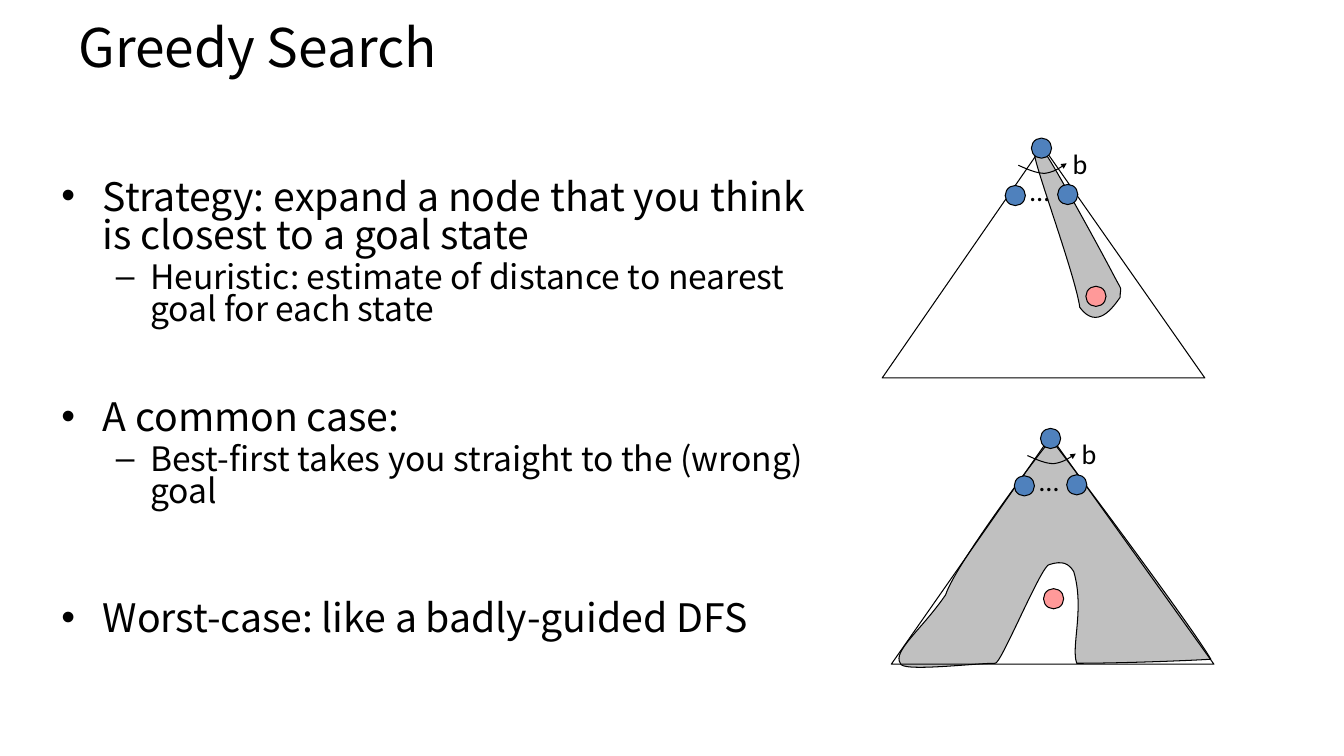
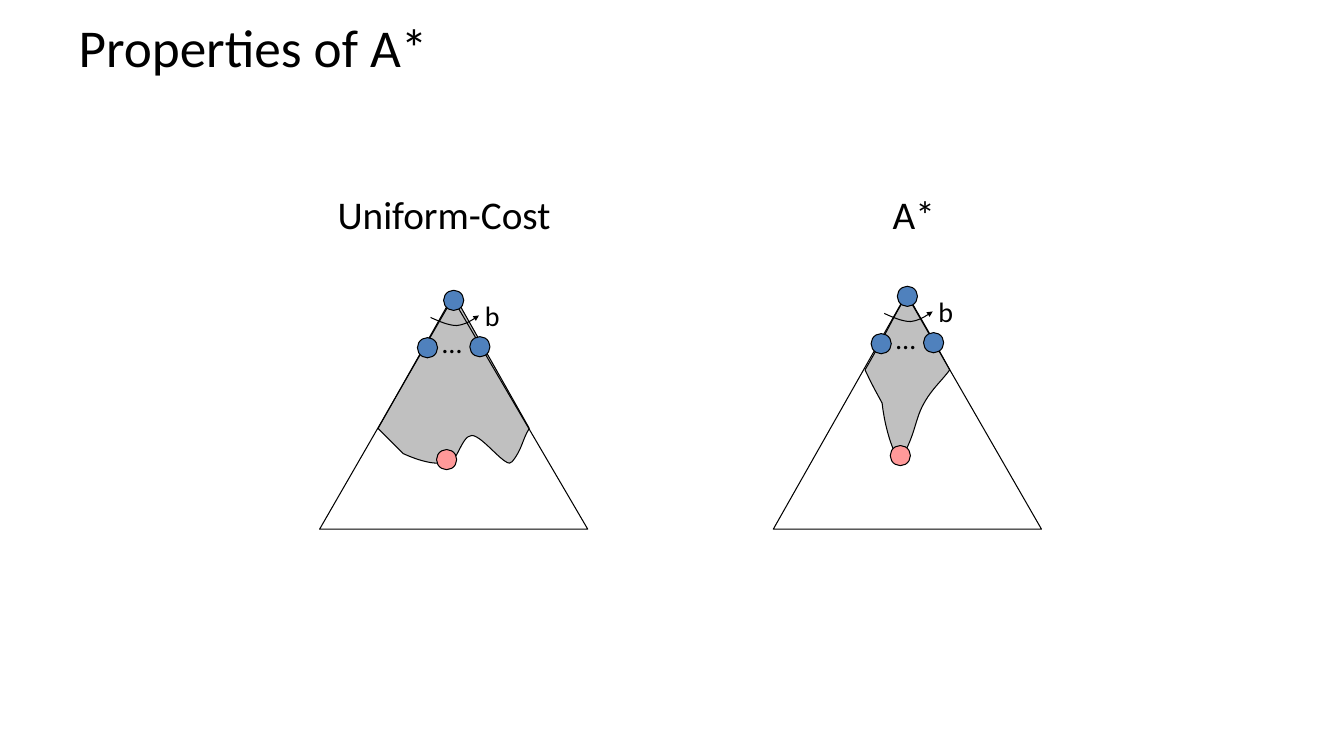
"""Build two slides on greedy search and the properties of A*."""
from lxml.etree import SubElement
from pptx import Presentation
from pptx.dml.color import RGBColor
from pptx.enum.shapes import MSO_SHAPE as Preset
from pptx.enum.text import MSO_ANCHOR as Anchor
from pptx.oxml.ns import qn
from pptx.util import Inches, Pt

BLACK = RGBColor(0x00, 0x00, 0x00)
GREY = RGBColor(0xC0, 0xC0, 0xC0)
BLUE = RGBColor(0x4F, 0x81, 0xBD)
PINK = RGBColor(0xFF, 0x99, 0x99)
LATIN_FONT = "Calibri"
WIDE_FONT = "Noto Sans CJK KR"
NODE_SIZE = 0.2


def add_text(slide, box, text, size, font=LATIN_FONT, side_inset=0.1):
    """Add a wrapped text box with one paragraph and return its frame."""
    frame = slide.shapes.add_textbox(*map(Inches, box)).text_frame
    frame.word_wrap = True
    frame.margin_left = frame.margin_right = Inches(side_inset)
    frame.margin_top = frame.margin_bottom = Inches(0.05)
    paragraph = frame.paragraphs[0]
    paragraph.text = text
    paragraph.font.size = Pt(size)
    paragraph.font.name = font
    paragraph.font.color.rgb = BLACK
    return frame


def add_outline(slide, start, segments, fill=None, close=True):
    """Draw lines (one point) and cubic curves (three points) from start."""
    builder = slide.shapes.build_freeform(Inches(start[0]), Inches(start[1]))
    points = [(Inches(x), Inches(y)) for segment in segments for x, y in segment]
    builder.add_line_segments(points, close=close)
    shape = builder.convert_to_shape()
    lines = iter(list(shape._element.iter(qn("a:lnTo"))))
    for segment in segments:
        first = next(lines)
        if len(segment) == 3:
            first.tag = qn("a:cubicBezTo")
            for line in (next(lines), next(lines)):
                first.append(line[0])
                line.getparent().remove(line)
    shape.shadow.inherit = False
    shape.line.color.rgb = BLACK
    shape.line.width = Pt(0.75)
    if fill is None:
        shape.fill.background()
    else:
        shape.fill.solid()
        shape.fill.fore_color.rgb = fill
    return shape


presentation = Presentation()
presentation.slide_width = Inches(13.33)
presentation.slide_height = Inches(7.5)

slides = []
for title, font in (("Greedy Search", WIDE_FONT), ("Properties of A*", LATIN_FONT)):
    slide = presentation.slides.add_slide(presentation.slide_layouts[6])
    frame = add_text(slide, (0.67, 0.02, 12, 0.87), title, 38, font, 0.11)
    frame.vertical_anchor = Anchor.MIDDLE
    slides.append(slide)
greedy_slide, properties_slide = slides

body_lines = [
    (0, 0, "Strategy: expand a node that you think is closest to a goal state"),
    (1, 5, "Heuristic: estimate of distance to nearest goal for each state"),
    (0, 52.5, "A common case:"),
    (1, 4.5, "Best-first takes you straight to the (wrong) goal"),
    (0, 66, "Worst-case: like a badly-guided DFS"),
]
levels = [("•", 28, 0.41, -0.41), ("–", 24, 0.88, -0.34)]
body = greedy_slide.shapes.add_textbox(Inches(0.5), Inches(1.75), Inches(7.75), Inches(5.33)).text_frame
body.word_wrap = True
body.margin_left = body.margin_right = Inches(0.11)
for index, (level, space_before, text) in enumerate(body_lines):
    bullet, size, margin, indent = levels[level]
    paragraph = body.add_paragraph() if index else body.paragraphs[0]
    paragraph.text = text
    paragraph.level = level
    paragraph.line_spacing = 0.8
    paragraph.space_before = Pt(space_before)
    properties = paragraph._p.get_or_add_pPr()
    properties.set("marL", str(Inches(margin)))
    properties.set("indent", str(Inches(indent)))
    SubElement(properties, qn("a:buFont")).set("typeface", "Arial")
    SubElement(properties, qn("a:buChar")).set("char", bullet)
    paragraph.font.size = Pt(size)
    paragraph.font.name = WIDE_FONT
    paragraph.font.color.rgb = BLACK

for center, width, text in ((4.5, 2.5, "Uniform-Cost"), (9.09, 0.67, "A*")):
    add_text(properties_slide, (center - width / 2, 1.84, width, 0.57), text, 28)

direct_region = [
    ((10.52, 1.76), (10.91, 2.47), (11.03, 2.7)),
    ((11.15, 2.93), (11.11, 2.82), (11.11, 2.95)),
    ((11.04, 3.05), (10.88, 3.28), (10.71, 3.05)),
    ((10.67, 2.76), (10.33, 1.83), (10.27, 1.58)),
    ((10.22, 1.33), (10.28, 1.38), (10.4, 1.57)),
]
worst_region = [
    ((10.75, 4.78), (11.83, 6.23), (12.01, 6.54)),
    ((11.87, 6.55), (11.16, 6.58), (10.68, 6.58)),
    ((10.62, 6.42), (10.76, 6.04), (10.65, 5.67)),
    ((10.6, 5.59), (10.54, 5.56), (10.41, 5.6)),
    ((10.34, 5.58), (9.92, 6.61), (9.87, 6.58)),
    ((9.66, 6.58), (8.93, 6.67), (8.93, 6.58)),
    ((8.85, 6.46), (9.14, 6.25), (9.38, 5.9)),
    ((9.46, 5.64), (10.17, 4.68), (10.36, 4.44)),
    ((10.54, 4.19), (10.46, 4.43), (10.48, 4.43)),
]
uniform_region = [
    ((3.75, 4.25),),
    ((4, 4.5),),
    ((4, 4.5), (4.29, 4.64), (4.42, 4.58)),
    ((4.53, 4.64), (4.57, 4.32), (4.68, 4.32)),
    ((4.79, 4.32), (5.03, 4.67), (5.08, 4.58)),
    ((5.18, 4.46), (5.18, 4.36), (5.25, 4.25)),
    ((4.5, 2.92),),
]
a_star_region = [
    ((8.85, 3.16), (8.84, 3.22), (8.58, 3.67)),
    ((8.66, 3.84), (8.68, 3.87), (8.75, 4)),
    ((8.75, 4), (8.78, 4.34), (8.92, 4.58)),
    ((9.08, 4.33), (9.07, 4.17), (9.16, 4.01)),
    ((9.24, 3.86), (9.34, 3.78), (9.42, 3.67)),
    ((9.17, 3.21), (9.1, 3.11), (9, 2.92)),
]
trees = [
    (greedy_slide, (10.23, 1.37), (10.77, 2.84),
     ((8.75, 3.75), (11.95, 3.75), (10.34, 1.45)), (10.4, 1.57), direct_region),
    (greedy_slide, (10.32, 4.25), (10.35, 5.84),
     ((8.84, 6.59), (12.04, 6.59), (10.42, 4.33)), (10.48, 4.43), worst_region),
    (properties_slide, (4.4, 2.88), (4.33, 4.46),
     ((3.17, 5.25), (5.83, 5.25), (4.49, 2.96)), (4.5, 2.92), uniform_region),
    (properties_slide, (8.9, 2.84), (8.83, 4.42),
     ((7.67, 5.25), (10.33, 5.25), (8.99, 2.92)), (9, 2.92), a_star_region),
]
branch_arc = [
    ((-0.04, 0.31), (0.05, 0.35), (0.13, 0.35)),
    ((0.21, 0.34), (0.28, 0.3), (0.35, 0.25)),
]

for slide, (left, top), goal, triangle, region_start, region in trees:
    add_outline(slide, region_start, region, GREY)
    add_outline(slide, triangle[0], [(corner,) for corner in triangle[1:]])
    add_text(slide, (left - 0.11, top + 0.3, 0.3, 0.44), "…", 20)
    add_text(slide, (left + 0.31, top + 0.03, 0.33, 0.44), "b", 20)
    arc = [[(left + x, top + y) for x, y in segment] for segment in branch_arc]
    arrow = add_outline(slide, (left - 0.13, top + 0.27), arc, close=False)
    arrow_head = SubElement(arrow._element.spPr.find(qn("a:ln")), qn("a:tailEnd"))
    for name, value in (("type", "triangle"), ("w", "sm"), ("len", "sm")):
        arrow_head.set(name, value)
    nodes = [
        (left - 0.26, top + 0.47, BLUE),
        (left + 0.26, top + 0.46, BLUE),
        (*goal, PINK),
        (left, top, BLUE),
    ]
    for x, y, color in nodes:
        node = slide.shapes.add_shape(Preset.OVAL, Inches(x), Inches(y), Inches(NODE_SIZE), Inches(NODE_SIZE))
        node.shadow.inherit = False
        node.fill.solid()
        node.fill.fore_color.rgb = color
        node.line.color.rgb = BLACK
        node.line.width = Pt(0.75)

presentation.save("out.pptx")
